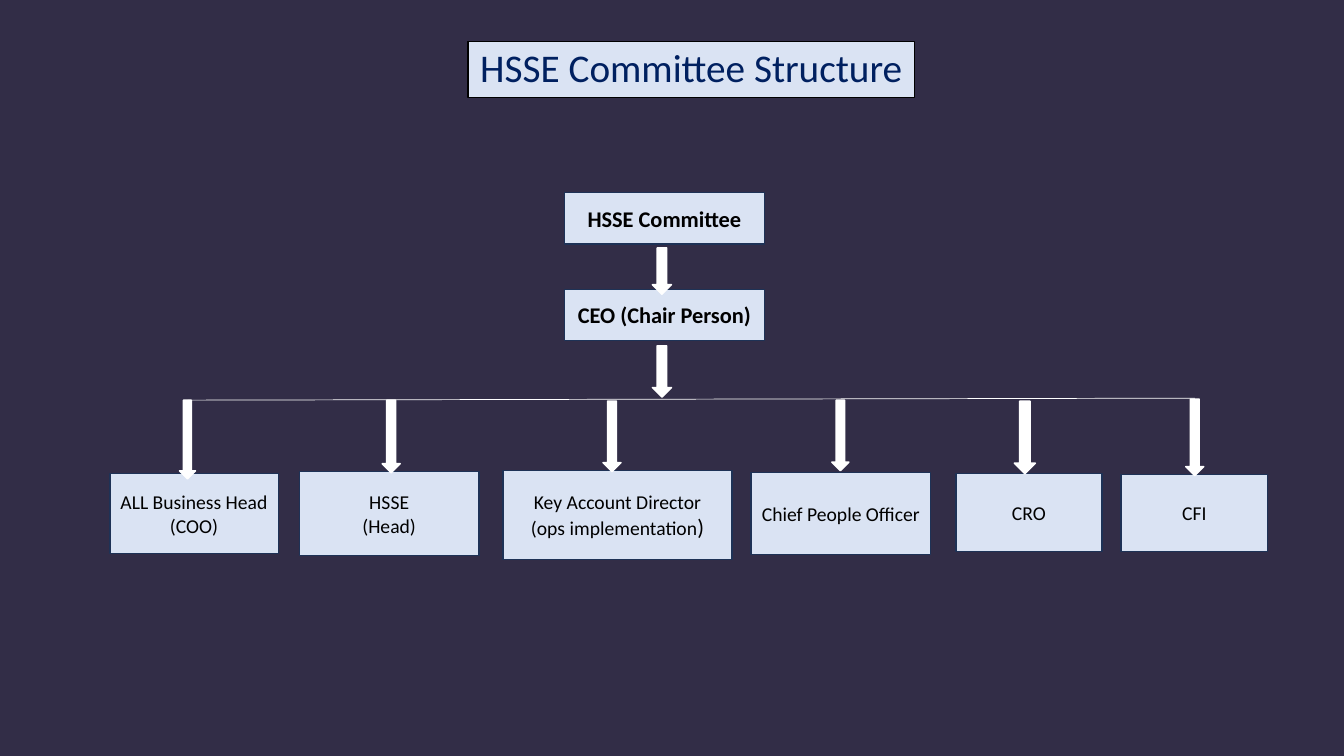
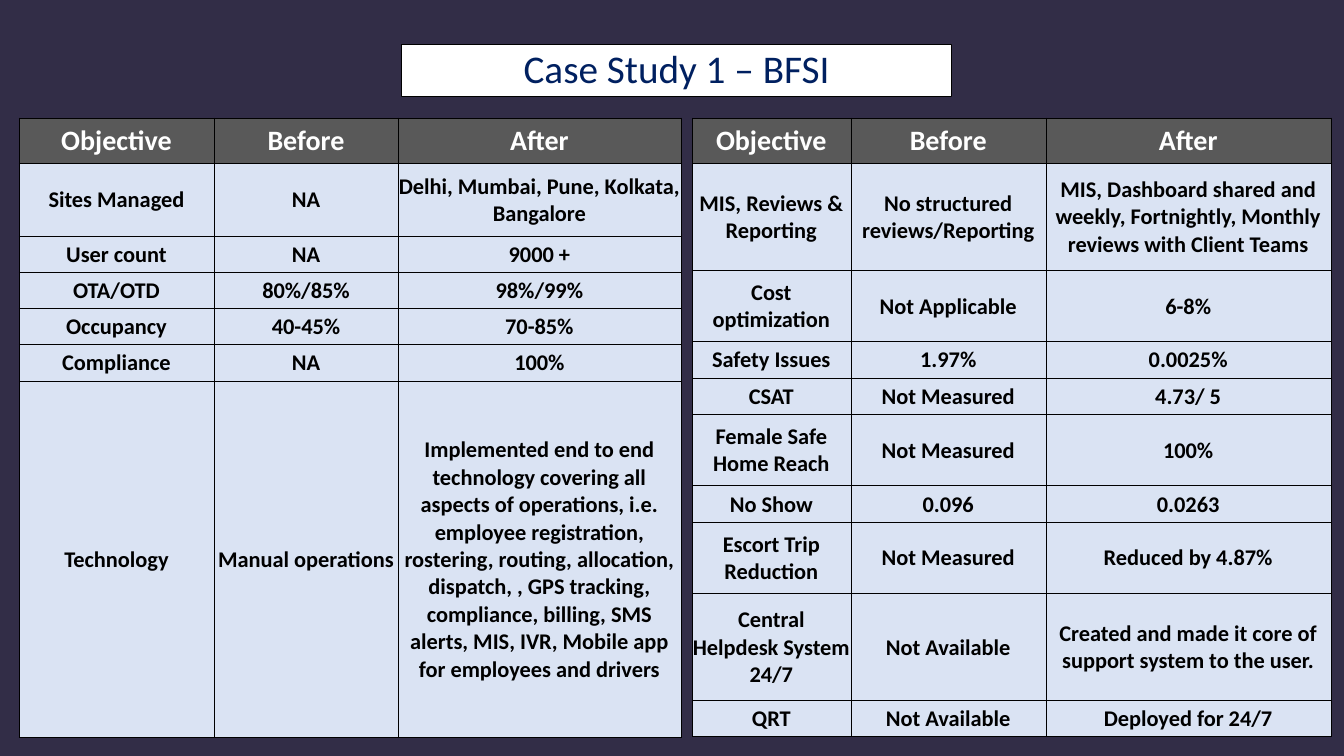
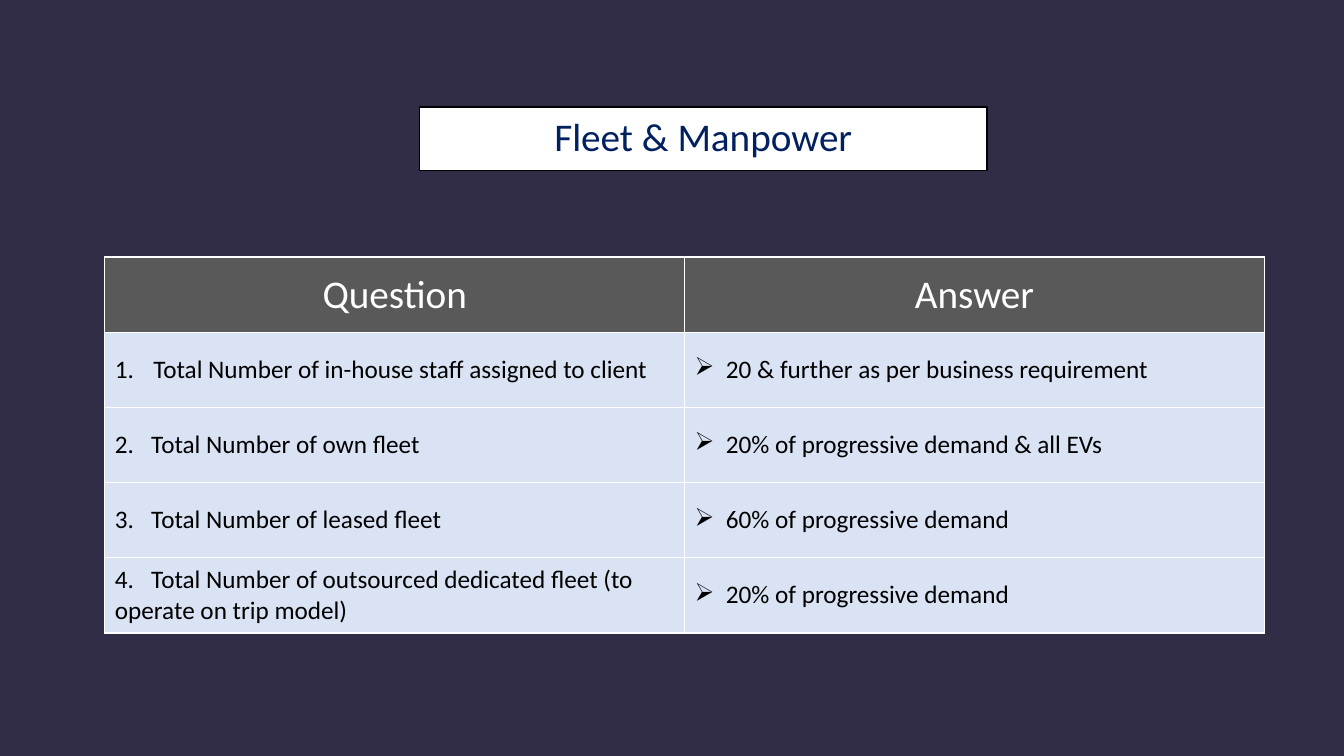
"""Build three safety-committee, case-study and fleet slides."""
from dataclasses import dataclass

from lxml.etree import SubElement
from pptx import Presentation
from pptx.dml.color import RGBColor
from pptx.enum.shapes import MSO_CONNECTOR, MSO_SHAPE
from pptx.enum.text import MSO_ANCHOR, MSO_AUTO_SIZE, PP_ALIGN
from pptx.oxml.ns import qn
from pptx.util import Emu, Pt

RECTANGLE, DOWN_ARROW = MSO_SHAPE.RECTANGLE, MSO_SHAPE.DOWN_ARROW
STRAIGHT = MSO_CONNECTOR.STRAIGHT
CENTER, LEFT = PP_ALIGN.CENTER, PP_ALIGN.LEFT
MIDDLE, NO_AUTOFIT = MSO_ANCHOR.MIDDLE, MSO_AUTO_SIZE.NONE

PX = 9144
SLIDE_SIZE = (1333, 750)
TITLE_ONLY = 5
FONT = "Calibri"
COLORS = {
    "background": "322D47",
    "panel": "DAE3F3",
    "panel_edge": "1E3256",
    "header": "595959",
    "title": "002060",
    "white": "FFFFFF",
    "black": "000000",
}


@dataclass(frozen=True)
class Area:
    """A rectangle in px."""

    left: int
    top: int
    width: int
    height: int


@dataclass(frozen=True)
class Role:
    """One box of the committee chart."""

    area: Area
    lines: tuple[str, ...]
    size: int = 14
    bold: bool = False


@dataclass(frozen=True)
class ListItem:
    """A table entry with a bullet, an automatic number or a typed number."""

    text: str
    indent: int
    marker: str = "buNone"
    marker_key: str = ""
    marker_value: str = ""


@dataclass(frozen=True)
class Grid:
    """A table with one header row."""

    area: Area
    columns: tuple[int, ...]
    heights: tuple[int, ...]
    rows: tuple[tuple[str | ListItem, ...], ...]
    border: str = "black"
    border_width: float = 0.5
    header_size: int = 20
    body_size: int = 16
    bold: bool = True
    body_align: PP_ALIGN = CENTER
    margins: tuple[int, int, int, int] = (0, 1, 1, 0)


LEADERS = (
    Role(Area(560, 191, 198, 51), ("HSSE Committee",), 16, True),
    Role(Area(560, 287, 198, 51), ("CEO (Chair Person)",), 16, True),
)
KEY_ACCOUNT = Role(Area(499, 467, 227, 88), ("Key Account Director", "(ops implementation"))
MEMBERS = (
    Role(Area(109, 470, 167, 79), ("ALL Business Head", "(COO)")),
    Role(Area(297, 468, 178, 83), ("HSSE", "(Head)")),
    Role(Area(745, 469, 178, 81), ("Chief People Officer",)),
    Role(Area(948, 470, 145, 77), ("CRO",)),
    Role(Area(1112, 471, 145, 76), ("CFI",)),
)
ARROWS = (
    Area(647, 246, 19, 46),
    Area(647, 343, 19, 51),
    Area(178, 397, 16, 78),
    Area(379, 397, 18, 72),
    Area(598, 398, 18, 70),
    Area(825, 397, 17, 70),
    Area(1006, 398, 21, 72),
    Area(1176, 396, 18, 76),
)

CASE_HEADER = ("Objective", "Before", "After")
OPERATIONS = Grid(
    Area(19, 117, 657, 615),
    (194, 182, 281),
    (45, 72, 36, 36, 36, 36, 354),
    (
        CASE_HEADER,
        ("Sites Managed", "NA", "Delhi, Mumbai, Pune, Kolkata, Bangalore"),
        ("User count", "NA", "9000 +"),
        ("OTA/OTD", "80%/85%", "98%/99%"),
        ("Occupancy", "40-45%", "70-85%"),
        ("Compliance", "NA", "100%"),
        (
            "Technology",
            "Manual operations",
            "Implemented end to end technology covering all aspects of operations, "
            "i.e. employee registration, rostering, routing, allocation, dispatch, , "
            "GPS tracking, compliance, billing, SMS alerts, MIS, IVR, Mobile app for "
            "employees and drivers",
        ),
    ),
)
SERVICE = Grid(
    Area(687, 117, 633, 614),
    (157, 194, 282),
    (45, 106, 71, 36, 36, 71, 36, 71, 106, 36),
    (
        CASE_HEADER,
        (
            "MIS, Reviews & Reporting",
            "No structured reviews/Reporting",
            "MIS, Dashboard shared and weekly, Fortnightly, Monthly reviews with Client Teams",
        ),
        ("Cost optimization", "Not Applicable", "6-8%"),
        ("Safety Issues", "1.97%", "0.0025%"),
        ("CSAT", "Not Measured", "4.73/ 5"),
        ("Female Safe Home Reach", "Not Measured", "100%"),
        ("No Show", "0.096", "0.0263"),
        ("Escort Trip Reduction", "Not Measured", "Reduced by 4.87%"),
        (
            "Central Helpdesk System 24/7",
            "Not Available",
            "Created and made it core of support system to the user.",
        ),
        ("QRT", "Not Available", "Deployed for 24/7"),
    ),
)


def answer(text: str) -> ListItem:
    """Return an answer with an arrowhead bullet."""
    return ListItem(text, 31, "buChar", "char", "➢")


FLEET = Grid(
    Area(104, 255, 1150, 373),
    (575, 575),
    (75, 74, 75, 74, 75),
    (
        ("Question", "Answer"),
        (
            ListItem(
                "Total Number of in-house staff assigned to client",
                38, "buAutoNum", "type", "arabicPeriod",
            ),
            answer("20 & further as per business requirement"),
        ),
        (
            ListItem("2.\tTotal Number of own fleet", 36),
            answer("20% of progressive demand & all EVs"),
        ),
        (
            ListItem("3.\tTotal Number of leased fleet", 36),
            answer("60% of progressive demand"),
        ),
        (
            ListItem(
                "4.\tTotal Number of outsourced dedicated fleet (to operate on trip model)", 36
            ),
            answer("20% of progressive demand"),
        ),
    ),
    border="white",
    border_width=1,
    header_size=28,
    body_size=18,
    bold=False,
    body_align=LEFT,
    margins=(10, 5, 10, 5),
)


def px(value: int) -> Emu:
    """Convert px to EMU."""
    return Emu(value * PX)


def bounds(area: Area) -> tuple[Emu, Emu, Emu, Emu]:
    """Return an area in EMU."""
    return px(area.left), px(area.top), px(area.width), px(area.height)


def color(name: str) -> RGBColor:
    """Return a palette colour."""
    return RGBColor.from_string(COLORS[name])


def paint(shape, fill: str, edge: str) -> None:
    """Give a shape a plain fill and a one-point outline."""
    shape.fill.solid()
    shape.fill.fore_color.rgb = color(fill)
    shape.line.color.rgb = color(edge)
    shape.line.width = Pt(1)


def style(paragraph, size: int, ink: str, bold: bool = False, align: PP_ALIGN = CENTER) -> None:
    """Format a whole paragraph."""
    paragraph.alignment = align
    font = paragraph.font
    font.name, font.size, font.bold = FONT, Pt(size), bold
    font.color.rgb = color(ink)


def add_titled_slide(deck, text: str, area: Area, fill: str = "white"):
    """Add a slide with its framed title."""
    slide = deck.slides.add_slide(deck.slide_layouts[TITLE_ONLY])
    title = slide.shapes.title
    title.left, title.top, title.width, title.height = bounds(area)
    paint(title, fill, "black")
    frame = title.text_frame
    frame.text = text
    frame.auto_size = NO_AUTOFIT
    frame.vertical_anchor = MIDDLE
    heading = frame.paragraphs[0]
    heading.line_spacing = 0.9
    style(heading, 28, "title")
    return slide


def add_preset(slide, preset: MSO_SHAPE, area: Area, fill: str, edge: str):
    """Add a flat preset shape."""
    shape = slide.shapes.add_shape(preset, *bounds(area))
    shape.shadow.inherit = False
    paint(shape, fill, edge)
    return shape


def add_role(slide, role: Role):
    """Add a committee box and return its text frame."""
    frame = add_preset(slide, RECTANGLE, role.area, "panel", "panel_edge").text_frame
    frame.word_wrap = True
    frame.vertical_anchor = MIDDLE
    frame.text = "\n".join(role.lines)
    for paragraph in frame.paragraphs:
        style(paragraph, role.size, "black", role.bold)
    return frame


def mark_item(paragraph, item: ListItem) -> None:
    """Add the marker and indent of a list entry."""
    properties = paragraph._p.get_or_add_pPr()
    marker = SubElement(properties, qn(f"a:{item.marker}"))
    if item.marker_key:
        marker.set(item.marker_key, item.marker_value)
        properties.set("marL", str(px(item.indent)))
        properties.set("indent", str(-px(item.indent)))
    else:
        stops = SubElement(properties, qn("a:tabLst"))
        SubElement(stops, qn("a:tab"), pos=str(px(item.indent)), algn="l")


def add_borders(cell, name: str, width: float) -> None:
    """Outline all four sides of a cell."""
    properties = cell._tc.get_or_add_tcPr()
    for position, side in enumerate(("lnL", "lnR", "lnT", "lnB")):
        line = SubElement(properties, qn(f"a:{side}"), w=str(Pt(width)))
        fill = SubElement(line, qn("a:solidFill"))
        SubElement(fill, qn("a:srgbClr"), val=COLORS[name])
        properties.insert(position, line)


def fill_cell(cell, entry: str | ListItem, grid: Grid, is_header: bool) -> None:
    """Write and format one table cell."""
    (cell.margin_left, cell.margin_top,
     cell.margin_right, cell.margin_bottom) = map(px, grid.margins)
    cell.vertical_anchor = MIDDLE
    cell.fill.solid()
    cell.fill.fore_color.rgb = color("header" if is_header else "panel")
    add_borders(cell, grid.border, grid.border_width)
    paragraph = cell.text_frame.paragraphs[0]
    if isinstance(entry, ListItem):
        paragraph.text = entry.text
        mark_item(paragraph, entry)
    else:
        paragraph.text = entry
    if is_header:
        style(paragraph, grid.header_size, "white", grid.bold)
    else:
        style(paragraph, grid.body_size, "black", grid.bold, grid.body_align)


def add_grid(slide, grid: Grid) -> None:
    """Add a table."""
    table = slide.shapes.add_table(
        len(grid.heights), len(grid.columns), *bounds(grid.area)
    ).table
    table.first_row = grid.bold
    table.horz_banding = False
    for column, width in zip(table.columns, grid.columns):
        column.width = px(width)
    for row, height in zip(table.rows, grid.heights):
        row.height = px(height)
    for row_index, entries in enumerate(grid.rows):
        for column_index, entry in enumerate(entries):
            fill_cell(table.cell(row_index, column_index), entry, grid, row_index == 0)


def add_committee(deck) -> None:
    """Add the committee structure slide."""
    slide = add_titled_slide(
        deck, "HSSE Committee Structure", Area(464, 41, 443, 56), "panel"
    )
    for role in LEADERS + MEMBERS:
        add_role(slide, role)
    implementation = add_role(slide, KEY_ACCOUNT).paragraphs[1]
    bracket = implementation.add_run()
    bracket.text = ")"
    bracket.font.size = Pt(16)
    branch = slide.shapes.add_connector(STRAIGHT, px(186), px(397), px(1185), px(395))
    branch.line.color.rgb = color("white")
    branch.line.width = Pt(0.5)
    SubElement(branch._element.spPr, qn("a:effectLst"))
    for area in ARROWS:
        add_preset(slide, DOWN_ARROW, area, "white", "white")


def main() -> None:
    """Build and save the deck."""
    deck = Presentation()
    deck.slide_width, deck.slide_height = map(px, SLIDE_SIZE)
    backdrop = deck.slide_master.background.fill
    backdrop.solid()
    backdrop.fore_color.rgb = color("background")
    add_committee(deck)
    case_study = add_titled_slide(deck, "Case Study 1 – BFSI", Area(398, 44, 546, 52))
    for grid in (OPERATIONS, SERVICE):
        add_grid(case_study, grid)
    fleet = add_titled_slide(deck, "Fleet & Manpower", Area(416, 106, 563, 63))
    add_grid(fleet, FLEET)
    deck.save("out.pptx")


if __name__ == "__main__":
    main()
